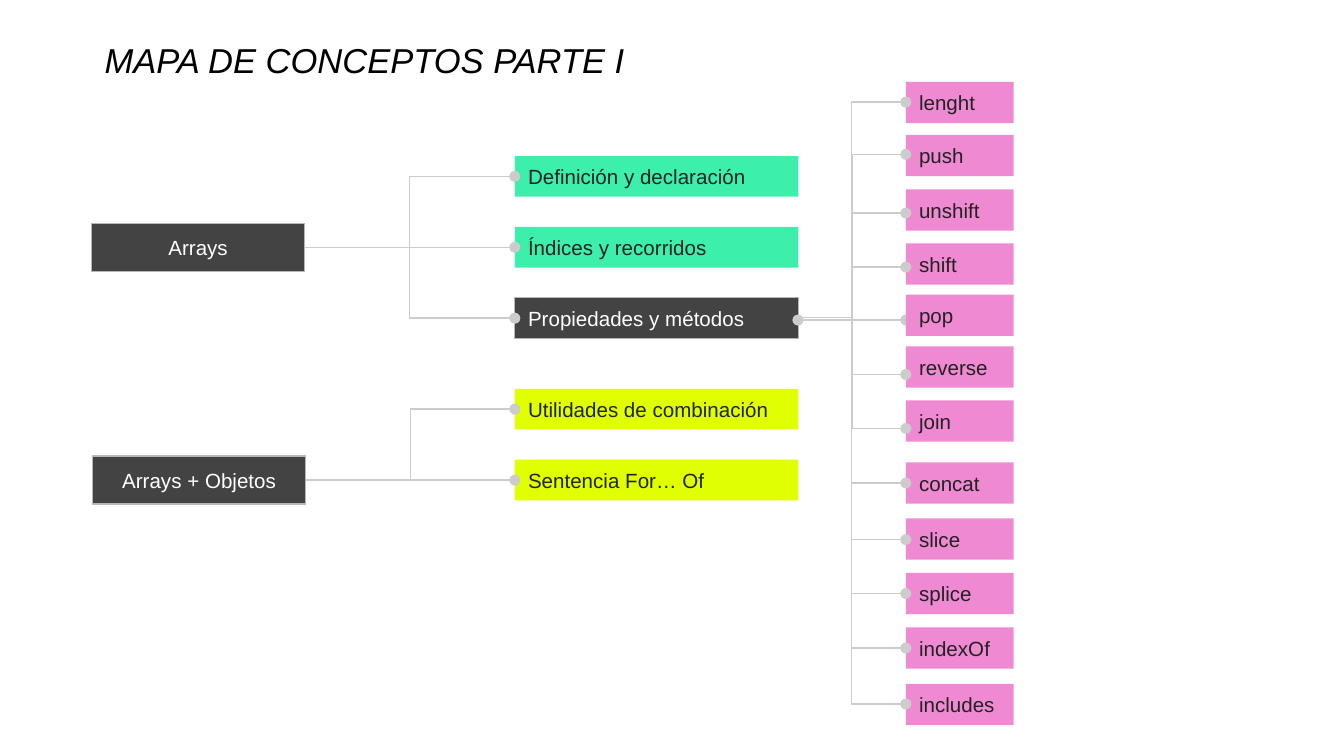
from dataclasses import dataclass

from lxml.etree import SubElement
from pptx import Presentation
from pptx.dml.color import RGBColor
from pptx.enum.shapes import MSO_CONNECTOR, MSO_SHAPE
from pptx.enum.text import MSO_ANCHOR, PP_ALIGN
from pptx.oxml.ns import qn
from pptx.util import Cm, Pt


@dataclass(frozen=True)
class Theme:
    font: str = "Arial"
    title_size: float = 18.5
    label_size: float = 11
    black: str = "000000"
    ink: str = "222222"
    white: str = "FFFFFF"
    dark: str = "434343"
    border: str = "B7B7B7"
    link: str = "CCCCCC"
    green: str = "3CEFAB"
    yellow: str = "E0FF00"
    pink: str = "EF89D2"
    line_width: float = 0.75


THEME = Theme()

prs = Presentation()
prs.slide_width, prs.slide_height = Cm(25.4), Cm(14.29)
slide = prs.slides.add_slide(prs.slide_layouts[6])


def add_concept(label, left, top, width, height, fill, align=PP_ALIGN.LEFT):
    """Labelled rectangle; dark ones get a border and white text."""
    concept = slide.shapes.add_shape(
        MSO_SHAPE.RECTANGLE, Cm(left), Cm(top), Cm(width), Cm(height))
    concept.shadow.inherit = False
    concept.fill.solid()
    concept.fill.fore_color.rgb = RGBColor.from_string(fill)
    is_dark = fill == THEME.dark
    if is_dark:
        concept.line.color.rgb = RGBColor.from_string(THEME.border)
        concept.line.width = Pt(THEME.line_width)
    else:
        concept.line.fill.background()
    frame = concept.text_frame
    frame.word_wrap = True
    frame.vertical_anchor = MSO_ANCHOR.MIDDLE
    frame.margin_left = frame.margin_right = Cm(0.25)
    frame.margin_top = frame.margin_bottom = Cm(0.25)
    paragraph = frame.paragraphs[0]
    paragraph.alignment = align
    run = paragraph.add_run()
    run.text = label
    run.font.name = THEME.font
    run.font.size = Pt(THEME.label_size)
    run.font.color.rgb = RGBColor.from_string(THEME.white if is_dark else THEME.ink)
    return concept


def add_link(x1, y1, x2, y2, kind=MSO_CONNECTOR.ELBOW, ends=("tailEnd",), corner=False):
    """Connector with round ends; corner=True goes vertically, then turns right once."""
    link = slide.shapes.add_connector(kind, Cm(x1), Cm(y1), Cm(x2), Cm(y2))
    link.line.color.rgb = RGBColor.from_string(THEME.link)
    link.line.width = Pt(THEME.line_width)
    properties = link._element.spPr
    for end in ends:
        SubElement(properties.find(qn("a:ln")), qn(f"a:{end}"), type="oval")
    SubElement(properties, qn("a:effectLst"))
    if corner:
        rise, run = abs(y2 - y1), x2 - x1
        link.left, link.top = Cm((x1 + x2 - rise) / 2), Cm((y1 + y2 - run) / 2)
        link.width, link.height = Cm(rise), Cm(run)
        xfrm = properties.find(qn("a:xfrm"))
        xfrm.attrib.pop("flipV", None)
        xfrm.set("rot", str(270 * 60000))
        if y2 > y1:
            xfrm.set("flipH", "1")
        properties.find(qn("a:prstGeom")).set("prst", "bentConnector2")
    return link


# Title
title = slide.shapes.add_textbox(Cm(1.73), Cm(0.64), Cm(19.74), Cm(1.17)).text_frame
title.word_wrap = True
title.margin_left = title.margin_right = Cm(0.25)
title.margin_top = title.margin_bottom = Cm(0.25)
title.paragraphs[0].line_spacing = 0.8
heading = title.paragraphs[0].add_run()
heading.text = "MAPA DE CONCEPTOS PARTE I"
heading.font.name = THEME.font
heading.font.size = Pt(THEME.title_size)
heading.font.italic = True
heading.font.color.rgb = RGBColor.from_string(THEME.black)

# Roots and their topics
ROOT_W, ROOT_H = 4.03, 0.91
TOPIC_X, TOPIC_W, TOPIC_H, TOPIC_STEP = 9.73, 5.36, 0.77, 1.34
branches = [
    ("Arrays", 1.73, 4.22, 2.95, [
        ("Definición y declaración", THEME.green),
        ("Índices y recorridos", THEME.green),
        ("Propiedades y métodos", THEME.dark)]),
    ("Arrays + Objetos", 1.75, 8.62, 7.35, [
        ("Utilidades de combinación", THEME.yellow),
        ("Sentencia For… Of", THEME.yellow)]),
]
for root_label, root_x, root_y, first_y, topics in branches:
    root = add_concept(root_label, root_x, root_y, ROOT_W, ROOT_H,
                       THEME.dark, PP_ALIGN.CENTER)
    for row, (topic_label, fill) in enumerate(topics):
        topic_y = first_y + row * TOPIC_STEP
        topic = add_concept(topic_label, TOPIC_X, topic_y, TOPIC_W, TOPIC_H, fill)
        branch = add_link(root_x + ROOT_W, root_y + ROOT_H / 2,
                          TOPIC_X, topic_y + TOPIC_H / 2)
        branch.begin_connect(root, 3)
        branch.end_connect(topic, 1)

# Methods: label, box top, link end, link start on the trunk (None: from the topic)
METHOD_X, METHOD_W, METHOD_H = 17.12, 2.04, 0.78
TOPIC_RIGHT, TRUNK_X, HUB_Y = 15.08, 16.09, 6.05
TRUNK_DROP = 3.11
methods = [
    ("lenght", 1.55, 1.93, 5.84),
    ("push", 2.55, 2.92, None),
    ("unshift", 3.58, 4.03, None),
    ("shift", 4.6, 5.05, None),
    ("pop", 5.57, HUB_Y, None),
    ("reverse", 6.55, 7.08, None),
    ("join", 7.57, 8.1, None),
    ("concat", 8.74, 9.13, 9.13 - TRUNK_DROP),
    ("slice", 9.8, 10.2, 10.2 - TRUNK_DROP),
    ("splice", 10.83, 11.22, 11.22 - TRUNK_DROP),
    ("indexOf", 11.86, 12.25, 12.25 - TRUNK_DROP),
    ("includes", 12.93, 13.31, 13.31 - TRUNK_DROP),
]
add_link(TOPIC_RIGHT, HUB_Y, METHOD_X, HUB_Y, MSO_CONNECTOR.STRAIGHT,
         ("headEnd", "tailEnd"))
for method, box_y, link_y, trunk_y in methods:
    add_concept(method, METHOD_X, box_y, METHOD_W, METHOD_H, THEME.pink)
    if trunk_y is not None:
        add_link(TRUNK_X, trunk_y, METHOD_X, link_y, corner=True)
    elif link_y != HUB_Y:
        start_y = 6 if method == "push" else HUB_Y
        add_link(TOPIC_RIGHT, start_y, METHOD_X, link_y)

prs.save("out.pptx")
